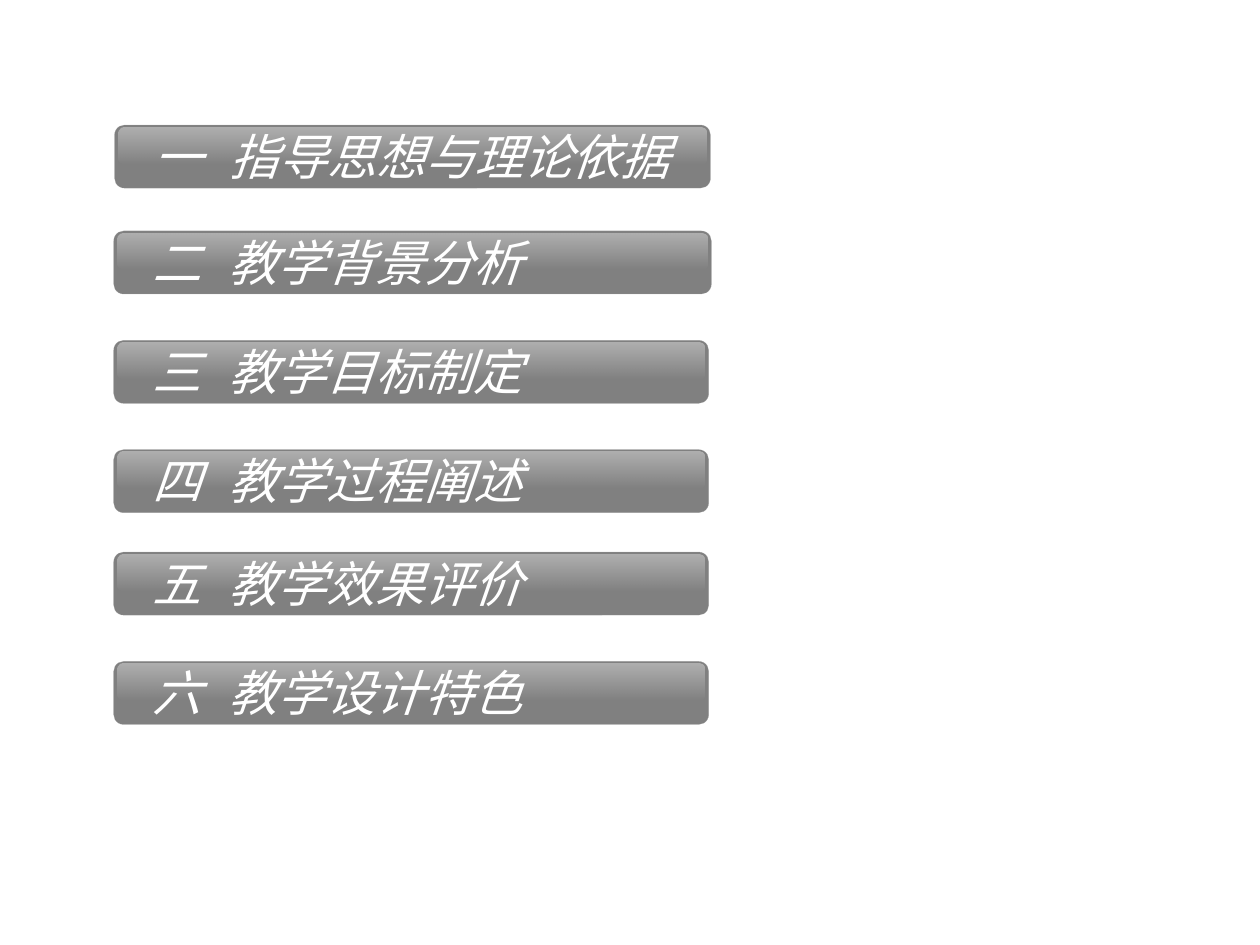
from dataclasses import dataclass

from lxml.etree import SubElement
from pptx import Presentation
from pptx.dml.color import RGBColor as RGB
from pptx.enum.shapes import MSO_SHAPE as Shape
from pptx.enum.text import MSO_ANCHOR as Anchor
from pptx.oxml.ns import qn
from pptx.util import Pt


@dataclass(frozen=True)
class Theme:
    bar: RGB = RGB(0x80, 0x80, 0x80)
    edge: RGB = RGB(0x96, 0x96, 0x96)
    light: RGB = RGB(0xFF, 0xFF, 0xFF)
    font: str = "Arial"
    size: float = 28
    edge_width: float = 0.25
    edge_opacity: int = 54
    gloss_opacity: int = 38


def set_opacity(fill_xml, percents):
    """Give each colour inside fill_xml its opacity, in order."""
    for color, percent in zip(fill_xml.iter(qn("a:srgbClr")), percents):
        SubElement(color, qn("a:alpha"), val=str(percent * 1000))


class Deck:
    def __init__(self, theme):
        self.theme = theme
        self.prs = Presentation()
        self.prs.slide_width, self.prs.slide_height = Pt(720), Pt(540)
        self.s = self.prs.slides.add_slide(self.prs.slide_layouts[6])

    def rounded(self, parent, box, radius):
        sp = parent.add_shape(Shape.ROUNDED_RECTANGLE, *map(Pt, box))
        sp.adjustments[0] = radius
        sp.shadow.inherit = False
        return sp

    def bar(self, parent, box):
        t = self.theme
        sp = self.rounded(parent, box, 0.157)
        sp.fill.solid()
        sp.fill.fore_color.rgb = t.bar
        sp.line.color.rgb = t.edge
        sp.line.width = Pt(t.edge_width)
        set_opacity(sp.line._ln, [t.edge_opacity])

    def gloss(self, parent, box):
        """Highlight that fades out downwards."""
        sp = self.rounded(parent, box, 0.143)
        sp.line.fill.background()
        sp.fill.gradient()
        sp.fill.gradient_angle = 270
        for stop in sp.fill.gradient_stops:
            stop.color.rgb = self.theme.light
        set_opacity(sp._element.spPr, [self.theme.gloss_opacity, 0])

    def label(self, parent, box, number, title, title_indent):
        t = self.theme
        tf = parent.add_textbox(*map(Pt, box)).text_frame
        tf.word_wrap = True
        tf.vertical_anchor = Anchor.MIDDLE
        p = tf.paragraphs[0]
        tabs = SubElement(p._p.get_or_add_pPr(), qn("a:tabLst"))
        SubElement(tabs, qn("a:tab"), pos=str(Pt(title_indent)), algn="l")
        r = p.add_run()
        r.text = f"{number}\t{title}"
        font = {"name": t.font, "size": Pt(t.size), "italic": True}
        for name, value in font.items():
            setattr(r.font, name, value)
        r.font.color.rgb = t.light

    def agenda_item(self, left, top, width, number, title):
        group = self.s.shapes.add_group_shape().shapes
        self.bar(group, (left, top, width, 36))
        self.gloss(group, (left + 2, top + 1.2, width - 4.5, 20.5))
        self.label(group, (left + 15, top + 2, width - 15, 31),
                   number, title, title_indent=43.5)

    def save(self):
        self.prs.save("out.pptx")


AGENDA = [  # left, top, width, number, title
    (65.5, 71.5, 340.5, "一", "指导思想与理论依据"),
    (65, 132, 341.5, "二", "教学背景分析"),
    (65, 194.5, 340, "三", "教学目标制定"),
    (65, 257, 340, "四", "教学过程阐述"),
    (65, 315.5, 340, "五", "教学效果评价"),
    (65, 378, 340, "六", "教学设计特色"),
]


def main():
    deck = Deck(Theme())
    for item in AGENDA:
        deck.agenda_item(*item)
    deck.save()


if __name__ == "__main__":
    main()
